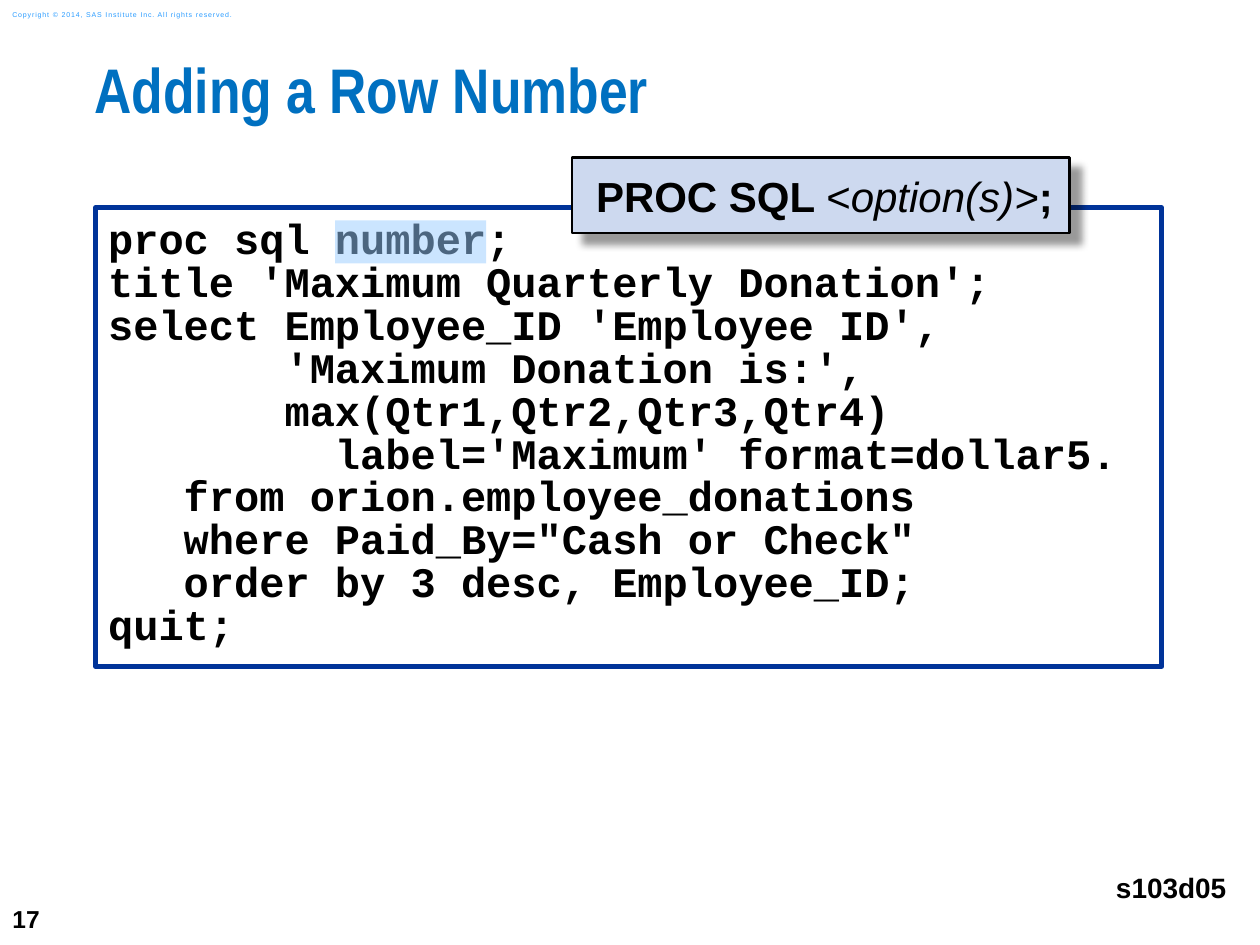
from dataclasses import dataclass

from pptx import Presentation
from pptx.dml.color import RGBColor as RGB
from pptx.enum.shapes import MSO_SHAPE as SHAPE
from pptx.enum.text import MSO_ANCHOR as ANCHOR, PP_ALIGN as ALIGN
from pptx.oxml import parse_xml
from pptx.oxml.ns import nsdecls, qn
from pptx.util import Inches, Pt

CODE = """proc sql number;
title 'Maximum Quarterly Donation';
select Employee_ID 'Employee ID',
       'Maximum Donation is:',
       max(Qtr1,Qtr2,Qtr3,Qtr4)
         label='Maximum' format=dollar5.
   from orion.employee_donations
   where Paid_By="Cash or Check"
   order by 3 desc, Employee_ID;
quit;"""


@dataclass(frozen=True)
class Theme:
    ink: str = "000000"
    paper: str = "FFFFFF"
    title: str = "0070C0"
    notice: str = "2A9CFF"
    frame: str = "003399"
    syntax: str = "CDD9EF"
    highlight: str = "99CCFF"
    body_font: str = "Arial"
    title_font: str = "Arial Narrow"
    code_font: str = "Courier New"
    title_size: float = 36
    code_size: float = 24
    label_size: float = 16
    number_size: float = 14
    notice_size: float = 4


class SlideBuilder:
    """Draw styled elements on the current slide."""

    def __init__(self, prs, theme):
        self.theme = theme
        self.s = prs.slides.add_slide(prs.slide_layouts[6])

    def fill_text(self, sp, lines, size, font=None, color=None, spacing=None,
                  align=ALIGN.LEFT, anchor=ANCHOR.TOP, margins=(0.1, 0.05, 0.1, 0.05),
                  tracking=None):
        tf = sp.text_frame
        sides = ("margin_left", "margin_top", "margin_right", "margin_bottom")
        frame_format = {"word_wrap": True, "vertical_anchor": anchor,
                        **dict(zip(sides, map(Inches, margins)))}
        for name, value in frame_format.items():
            setattr(tf, name, value)
        for i, runs in enumerate(lines):
            p = tf.paragraphs[0] if i == 0 else tf.add_paragraph()
            for name, value in {"alignment": align, "line_spacing": spacing}.items():
                setattr(p, name, value)
            for text, style in runs:
                r = p.add_run()
                r.text = text
                run_format = {"name": font or self.theme.body_font, "size": Pt(size), **style}
                for name, value in run_format.items():
                    setattr(r.font, name, value)
                r.font.color.rgb = RGB.from_string(color or self.theme.ink)
                if tracking:
                    r._r.get_or_add_rPr().set("spc", str(int(tracking * 100)))

    def text(self, box, text, size, bold=True, **style):
        sp = self.s.shapes.add_textbox(*map(Inches, box))
        self.fill_text(sp, [[(text, {"bold": bold})]], size, **style)

    def panel(self, box, fill, line=None, width=0, alpha=None):
        sp = self.s.shapes.add_shape(SHAPE.RECTANGLE, *map(Inches, box))
        sp.shadow.inherit = False
        sp.fill.solid()
        sp.fill.fore_color.rgb = RGB.from_string(fill)
        if alpha:
            clr = sp._element.spPr.find(qn("a:solidFill"))[0]
            clr.append(parse_xml(f'<a:alpha {nsdecls("a")} val="{alpha * 1000}"/>'))
        if line:
            sp.line.color.rgb = RGB.from_string(line)
            sp.line.width = Pt(width)
        else:
            sp.line.fill.background()
        return sp

    def shadow(self, sp, alpha, blur, dist, angle):
        effects = sp._element.spPr.find(qn("a:effectLst"))
        effects.append(parse_xml(
            f'<a:outerShdw {nsdecls("a")} blurRad="{Pt(blur)}" dist="{Pt(dist)}" '
            f'dir="{angle * 60000}" algn="tl" rotWithShape="0">'
            f'<a:srgbClr val="{self.theme.ink}"><a:alpha val="{alpha * 1000}"/></a:srgbClr>'
            '</a:outerShdw>'))

    def code(self, box, source):
        t = self.theme
        sp = self.panel(box, t.paper, t.frame, 3)
        lines = [[(line, {"bold": True})] for line in source.splitlines()]
        self.fill_text(sp, lines, t.code_size, font=t.code_font, spacing=0.85,
                       margins=(0.1, 0.1, 0.1, 0.1))

    def callout(self, box, runs):
        t = self.theme
        sp = self.panel(box, t.syntax, t.ink, 1.5)
        self.shadow(sp, alpha=40, blur=4, dist=8.5, angle=45)
        self.fill_text(sp, [runs], t.code_size, margins=(0.19, 0.1, 0, 0.1))


def main():
    prs = Presentation()
    prs.slide_width, prs.slide_height = Inches(10), Inches(7.5)
    t = Theme()
    b = SlideBuilder(prs, t)
    b.text((0, 7.08, 0.58, 0.42), "17", t.number_size, anchor=ANCHOR.MIDDLE)
    b.text((0, 0.03, 2.11, 0.17), "Copyright © 2014, SAS Institute Inc. All rights reserved.",
           t.notice_size, bold=False, color=t.notice, anchor=ANCHOR.MIDDLE, tracking=0.5)
    b.text((0.75, 0.5, 9.25, 0.74), "Adding a Row Number", t.title_size, font=t.title_font,
           color=t.title, spacing=0.83, margins=(0, 0, 0, 0))
    b.text((8.74, 6.86, 1.09, 0.37), "s103d05", t.label_size, align=ALIGN.RIGHT)
    b.code((0.76, 1.65, 8.46, 3.64), CODE)
    b.callout((4.54, 1.25, 3.95, 0.6), [
        ("PROC SQL ", {"bold": True}), ("<", {"bold": False}),
        ("option(s)>", {"italic": True}), (";", {"bold": True})])
    b.panel((2.66, 1.75, 1.2, 0.34), t.highlight, alpha=50)
    prs.save("out.pptx")


if __name__ == "__main__":
    main()
